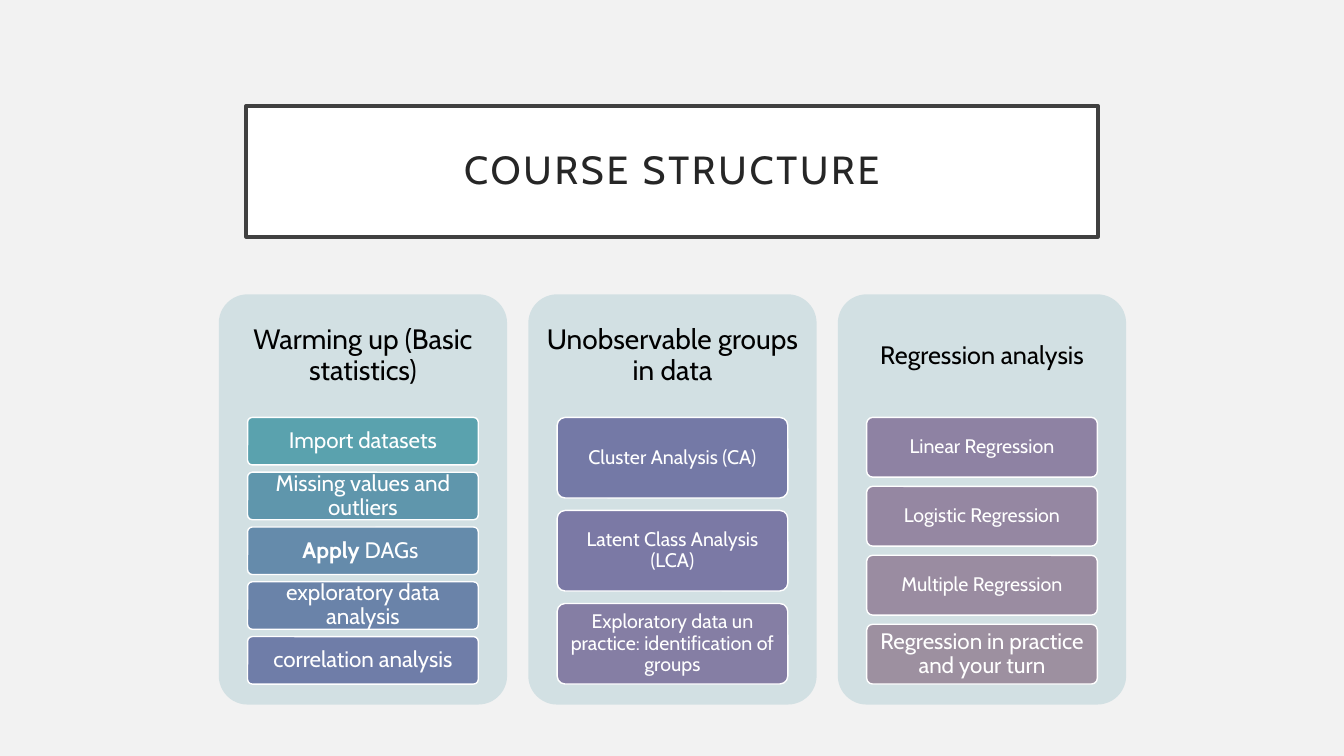
from pptx import Presentation
from pptx import util as u
from pptx.dml.color import RGBColor
from pptx.enum import shapes, text

# Content: heading, heading size, then (topic, size, fill); a topic's bold lead is a pair
TITLE = "COURSE STRUCTURE"
MODULES = [
    ("Warming up (Basic statistics)", 20, [
        ("Import datasets", 16, "5AA2AE"),
        ("Missing values and outliers", 16, "5F96AC"),
        (("Apply", " DAGs "), 16, "658BAB"),
        ("exploratory data analysis", 16, "6A83A9"),
        ("correlation analysis", 16, "6F7DA8"),
    ]),
    ("Unobservable groups in data", 20, [
        ("Cluster Analysis (CA)", 14, "7479A6"),
        ("Latent Class Analysis (LCA)", 14, "7B79A5"),
        ("Exploratory data un practice: identification of groups", 14, "857EA4"),
    ]),
    ("Regression analysis", 18, [
        ("Linear Regression", 14, "8E82A3"),
        ("Logistic Regression", 14, "9587A2"),
        ("Multiple Regression", 14, "9A8CA1"),
        ("Regression in practice and your turn", 16, "9D90A0"),
    ]),
]

THEME = {
    "font": "Cabin", "title_size": 28, "title_spacing": 200,
    "background": "F2F2F2", "white": "FFFFFF", "frame": "404040",
    "title": "262626", "panel": "D2E0E3", "heading": "000000",
}

# Layout in inches
SLIDE_W, SLIDE_H = 13.33, 7.5
TITLE_BOX = (2.44, 1.05, 8.45, 1.3)
PANEL_LEFT, PANEL_TOP, PANEL_W, PANEL_H = 2.17, 2.92, 2.86, 4.07
PANEL_PITCH = 3.07
HEADING_H = PANEL_H * 0.3
STACK_H = PANEL_H * 0.65
TOPIC_W = PANEL_W * 0.8
GAP_SHARE = 0.154  # gap between topics, as a share of topic height
CORNER = 0.1

ROUND = shapes.MSO_SHAPE.ROUNDED_RECTANGLE
RECT = shapes.MSO_SHAPE.RECTANGLE


def rgb(value):
    return RGBColor.from_string(value)


def add_box(slide, kind, place, fill, line=None, width=1):
    box = slide.shapes.add_shape(kind, *map(u.Inches, place))
    box.shadow.inherit = False
    box.fill.solid()
    box.fill.fore_color.rgb = rgb(fill)
    if kind == ROUND:
        box.adjustments[0] = CORNER
    if line:
        box.line.color.rgb = rgb(line)
        box.line.width = u.Pt(width)
    else:
        box.line.fill.background()
    return box


def write(box, words, size, color, inset, after=0.35):
    frame = box.text_frame
    side, edge = map(u.Inches, inset)
    frame_format = {
        "word_wrap": True, "vertical_anchor": text.MSO_ANCHOR.MIDDLE,
        "margin_left": side, "margin_right": side,
        "margin_top": edge, "margin_bottom": edge,
    }
    for key, value in frame_format.items():
        setattr(frame, key, value)
    paragraph = frame.paragraphs[0]
    paragraph_format = {
        "alignment": text.PP_ALIGN.CENTER, "line_spacing": 0.9,
        "space_after": u.Pt(size * after),
    }
    for key, value in paragraph_format.items():
        setattr(paragraph, key, value)
    lead, rest = words if isinstance(words, tuple) else ("", words)
    for part, bold in ((lead, True), (rest, False)):
        if part:
            run = paragraph.add_run()
            run.text = part
            run_format = {"name": THEME["font"], "size": u.Pt(size), "bold": bold}
            for key, value in run_format.items():
                setattr(run.font, key, value)
            run.font.color.rgb = rgb(color)
    return paragraph


def add_module(slide, left, heading, size, topics):
    add_box(slide, ROUND, (left, PANEL_TOP, PANEL_W, PANEL_H), THEME["panel"])
    heading_place = (left, PANEL_TOP, PANEL_W, HEADING_H)
    heading_box = slide.shapes.add_textbox(*map(u.Inches, heading_place))
    write(heading_box, heading, size, THEME["heading"], (0.08, 0.08))

    # Topics share the stack height evenly
    count = len(topics)
    height = STACK_H / (count + (count - 1) * GAP_SHARE)
    topic_left = left + (PANEL_W - TOPIC_W) / 2
    for row, (words, topic_size, fill) in enumerate(topics):
        top = PANEL_TOP + HEADING_H + row * height * (1 + GAP_SHARE)
        topic = add_box(slide, ROUND, (topic_left, top, TOPIC_W, height),
                        fill, THEME["white"])
        write(topic, words, topic_size, THEME["white"], (0.04, 0.03))


def main():
    deck = Presentation()
    deck.slide_width, deck.slide_height = u.Inches(SLIDE_W), u.Inches(SLIDE_H)
    slide = deck.slides.add_slide(deck.slide_layouts[6])
    slide.background.fill.solid()
    slide.background.fill.fore_color.rgb = rgb(THEME["background"])

    # Title
    title = add_box(slide, RECT, TITLE_BOX, THEME["white"], THEME["frame"], 2.5)
    line = write(title, TITLE, THEME["title_size"], THEME["title"], (0.2, 0.2), 0)
    line.runs[0].font._element.set("spc", str(THEME["title_spacing"]))

    # Modules
    for column, module in enumerate(MODULES):
        add_module(slide, PANEL_LEFT + column * PANEL_PITCH, *module)
    deck.save("out.pptx")


if __name__ == "__main__":
    main()
